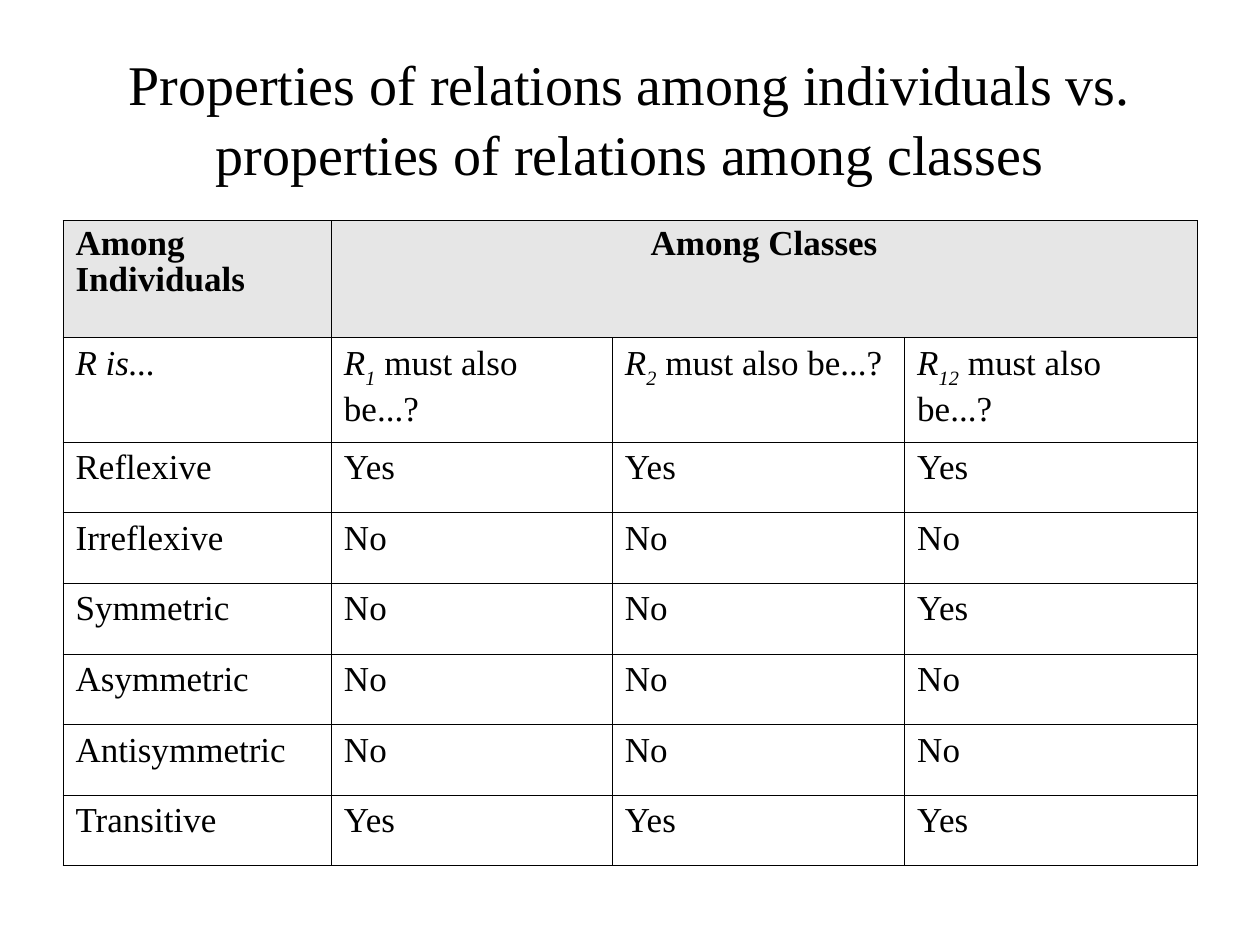
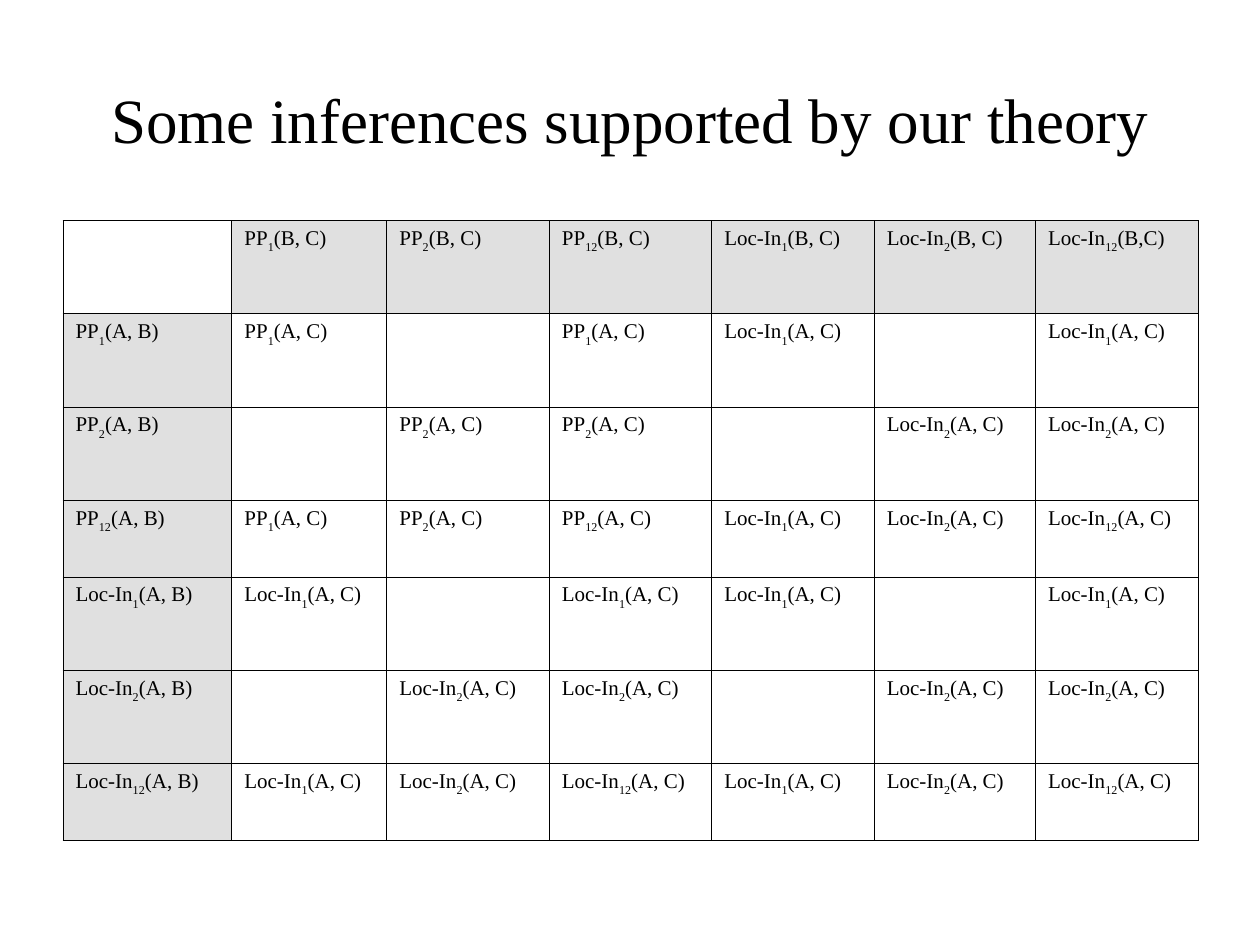
from lxml import etree
from pptx import Presentation
from pptx import util as u
from pptx.dml.color import RGBColor
from pptx.enum import text
from pptx.oxml import ns

FONT = "Times New Roman"
INK, PAPER = "000000", "FFFFFF"
LEFT, TABLE_TOP, WIDTH = 0.5, 1.75, 9
BORDER = u.Pt(0.45)
HEADER_SPACING = 0.93


def color(hex_value):
    return RGBColor.from_string(hex_value)


def add_run(paragraph, wording, size, style=""):
    run = paragraph.add_run()
    run.text = wording
    run.font.name = FONT
    run.font.size = u.Pt(size)
    run.font.bold = "b" in style
    run.font.italic = "i" in style
    run.font.color.rgb = color(INK)
    if "s" in style:
        run.font._element.set("baseline", "-30000")


def add_titled_slide(deck, wording, size):
    slide = deck.slides.add_slide(deck.slide_layouts[5])
    title = slide.shapes.title
    title.left, title.top = u.Inches(LEFT), u.Inches(0.3)
    title.width, title.height = u.Inches(WIDTH), u.Inches(1.25)
    frame = title.text_frame
    frame.word_wrap = True
    frame.auto_size = text.MSO_AUTO_SIZE.NONE
    frame.vertical_anchor = text.MSO_ANCHOR.MIDDLE
    heading = frame.paragraphs[0]
    heading.alignment = text.PP_ALIGN.CENTER
    heading.line_spacing = 1.04
    add_run(heading, wording, size)
    return slide


def add_borders(cell):
    properties = cell._tc.get_or_add_tcPr()
    for side in ("a:lnL", "a:lnR", "a:lnT", "a:lnB"):
        line = etree.SubElement(properties, ns.qn(side), w=str(int(BORDER)))
        fill = etree.SubElement(line, ns.qn("a:solidFill"))
        etree.SubElement(fill, ns.qn("a:srgbClr"), val=INK)


def add_grid(slide, rows, widths, heights, size, shade, is_shaded):
    frame = slide.shapes.add_table(
        len(heights), len(widths), u.Inches(LEFT), u.Inches(TABLE_TOP),
        u.Inches(WIDTH), u.Inches(sum(heights)))
    grid = frame.table
    grid.first_row = grid.horz_banding = False
    for column, width in zip(grid.columns, widths):
        column.width = u.Inches(width)
    for row, height in zip(grid.rows, heights):
        row.height = u.Inches(height)
    for r, row in enumerate(rows):
        for c, runs in enumerate(row):
            cell = grid.cell(r, c)
            add_borders(cell)
            cell.fill.solid()
            cell.fill.fore_color.rgb = color(shade if is_shaded(r, c) else PAPER)
            for wording, style in runs:
                add_run(cell.text_frame.paragraphs[0], wording, size, style)
    return grid


def requirement(index):
    return [("R", "i"), (index, "is"), (" must also be...?", "")]


def relation(kind, index, arguments):
    return [(kind, ""), (index, "s"), (arguments, "")]


def infer(first, second):
    kind = "Loc-In" if "Loc-In" in (first[0], second[0]) else "PP"
    shared = "".join(digit for digit in first[1] if digit in second[1])
    return relation(kind, shared, "(A, C)") if shared else []


def add_properties_slide(deck):
    slide = add_titled_slide(
        deck, "Properties of relations among individuals vs. "
        "properties of relations among classes", 32)
    answers = {
        "Reflexive": ("Yes", "Yes", "Yes"),
        "Irreflexive": ("No", "No", "No"),
        "Symmetric": ("No", "No", "Yes"),
        "Asymmetric": ("No", "No", "No"),
        "Antisymmetric": ("No", "No", "No"),
        "Transitive": ("Yes", "Yes", "Yes"),
    }
    rows = [
        [[("Among Individuals", "b")], [("Among Classes", "b")], [], []],
        [[("R is...", "i")]] + [requirement(i) for i in ("1", "2", "12")],
    ]
    rows += [[[(wording, "")] for wording in (name, *verdicts)]
             for name, verdicts in answers.items()]
    grid = add_grid(slide, rows, [2.13, 2.23, 2.32, 2.32],
                    [0.93, 0.83] + [0.56] * len(answers), 20, "E6E6E6",
                    lambda r, c: r == 0)
    classes = grid.cell(0, 1)
    classes.merge(grid.cell(0, 3))
    for cell in (grid.cell(0, 0), classes):
        cell.text_frame.paragraphs[0].line_spacing = HEADER_SPACING
    classes.text_frame.paragraphs[0].alignment = text.PP_ALIGN.CENTER


def add_inferences_slide(deck):
    slide = add_titled_slide(deck, "Some inferences supported by our theory", 36)
    relations = [(kind, index) for kind in ("PP", "Loc-In")
                 for index in ("1", "2", "12")]
    header = [relation(*second, "(B, C)") for second in relations[:-1]]
    header.append(relation(*relations[-1], "(B,C)"))
    rows = [[[]] + header]
    rows += [[relation(*first, "(A, B)")]
             + [infer(first, second) for second in relations]
             for first in relations]
    add_grid(slide, rows, [1.34, 1.23, 1.29, 1.29, 1.29, 1.28, 1.29],
             [0.74] + [0.74, 0.74, 0.61] * 2, 12, "E0E0E0",
             lambda r, c: (r == 0) != (c == 0))


def main():
    deck = Presentation()
    deck.slide_width, deck.slide_height = u.Inches(10), u.Inches(7.5)
    add_properties_slide(deck)
    add_inferences_slide(deck)
    deck.save("out.pptx")


if __name__ == "__main__":
    main()
